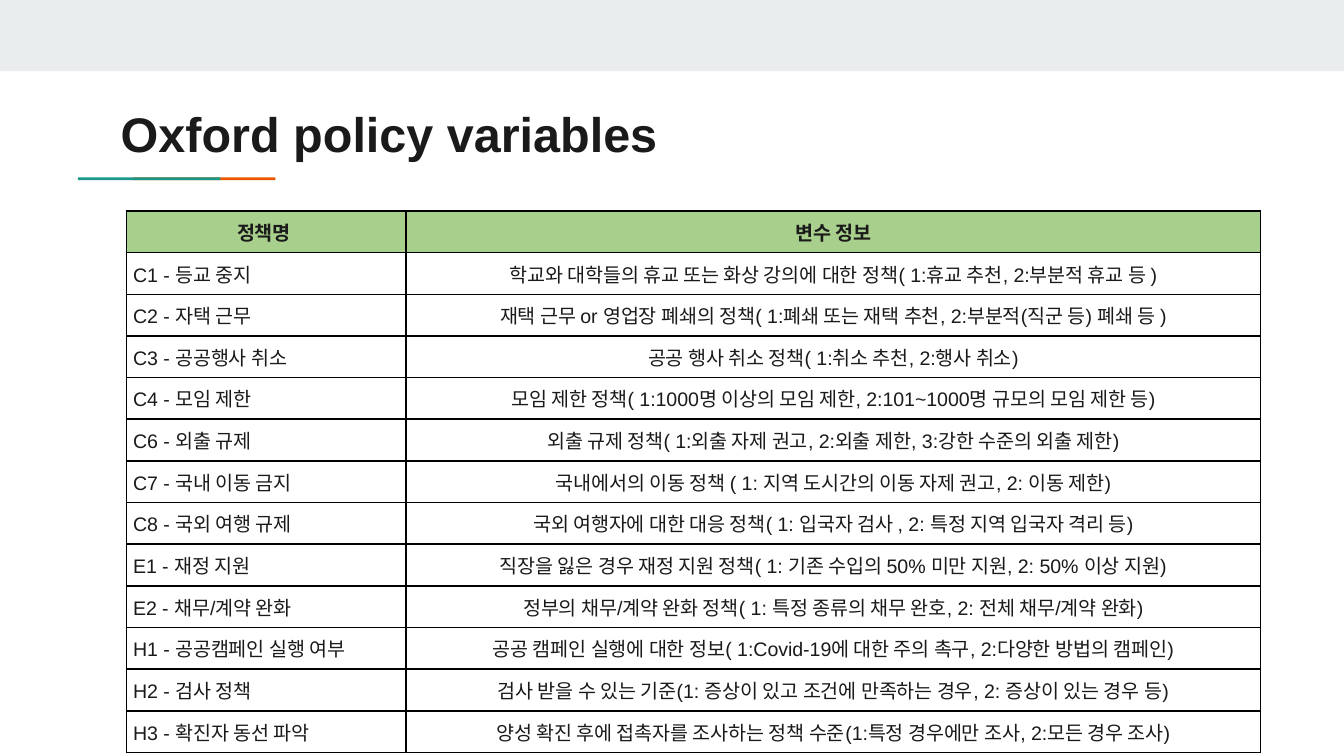
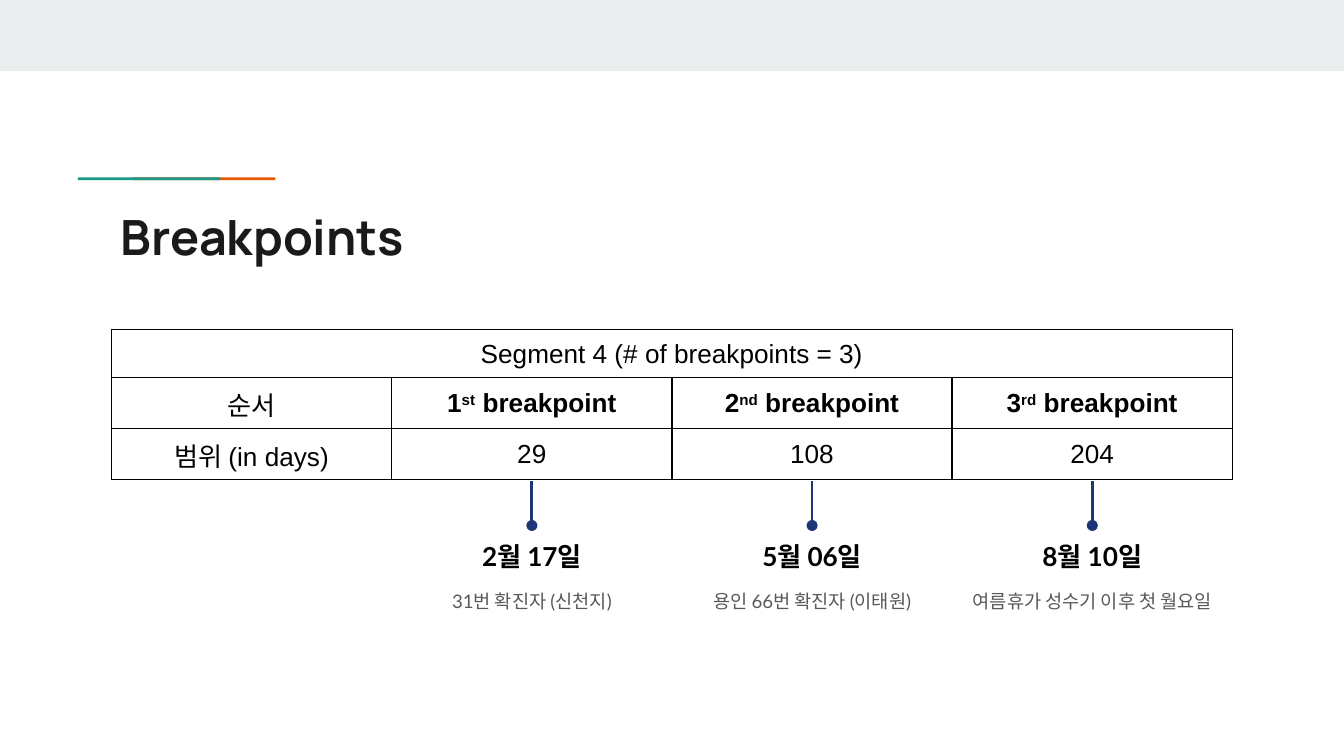
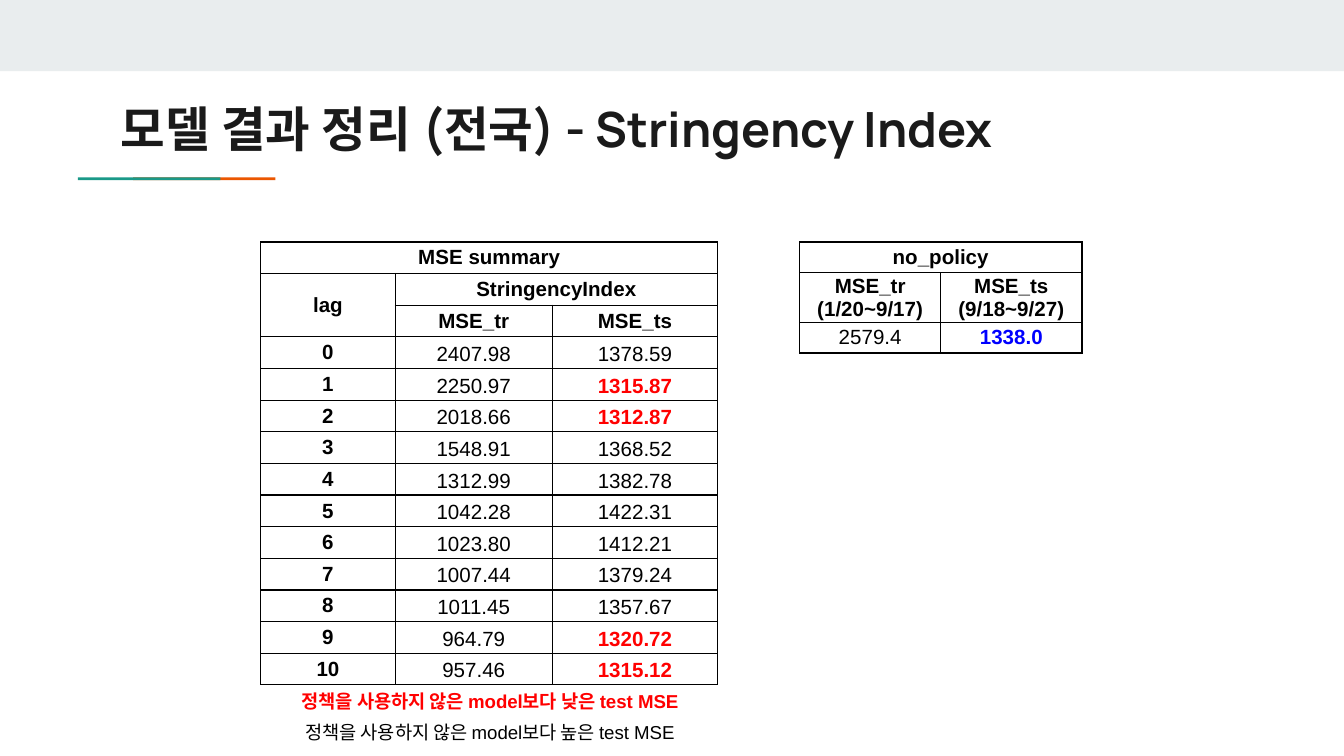
"""Build three slides on policy variables, breakpoints and model results."""
from dataclasses import dataclass

from lxml import etree
from pptx import Presentation, util as u
from pptx.dml.color import RGBColor
from pptx.enum import shapes, text
from pptx.oxml.ns import qn

MID = text.PP_ALIGN.CENTER
LEFT = text.PP_ALIGN.LEFT


@dataclass(frozen=True)
class Theme:
    """Colours, fonts and type sizes of the deck."""
    band: str = "E9EDEE"
    teal: str = "1A9988"
    orange: str = "EB5600"
    ink: str = "1A1A1A"
    black: str = "000000"
    gray: str = "595959"
    white: str = "FFFFFF"
    green: str = "A8D08C"
    red: str = "FF0000"
    blue: str = "0000FF"
    navy: str = "1C3678"
    sans: str = "Arial"
    head: str = "Manrope"
    body: str = "Lato"
    title: float = 26
    large: float = 14
    score: float = 11
    policy: float = 10.5
    small: float = 10


T = Theme()

POLICIES = [
    ("C1 - 등교 중지", "학교와 대학들의 휴교 또는 화상 강의에 대한 정책( 1:휴교 추천, 2:부분적 휴교 등 )"),
    ("C2 - 자택 근무", "재택 근무 or 영업장 폐쇄의 정책( 1:폐쇄 또는 재택 추천, 2:부분적(직군 등) 폐쇄 등 )"),
    ("C3 - 공공행사 취소", "공공 행사 취소 정책( 1:취소 추천, 2:행사 취소)"),
    ("C4 - 모임 제한", "모임 제한 정책( 1:1000명 이상의 모임 제한, 2:101~1000명 규모의 모임 제한 등)"),
    ("C6 - 외출 규제", "외출 규제 정책( 1:외출 자제 권고, 2:외출 제한, 3:강한 수준의 외출 제한)"),
    ("C7 - 국내 이동 금지", "국내에서의 이동 정책 ( 1: 지역 도시간의 이동 자제 권고, 2: 이동 제한)"),
    ("C8 - 국외 여행 규제", "국외 여행자에 대한 대응 정책( 1: 입국자 검사 , 2: 특정 지역 입국자 격리 등)"),
    ("E1 - 재정 지원", "직장을 잃은 경우 재정 지원 정책( 1: 기존 수입의 50% 미만 지원, 2: 50% 이상 지원)"),
    ("E2 - 채무/계약 완화", "정부의 채무/계약 완화 정책( 1: 특정 종류의 채무 완호, 2: 전체 채무/계약 완화)"),
    ("H1 - 공공캠페인 실행 여부",
     "공공 캠페인 실행에 대한 정보( 1:Covid-19에 대한 주의 촉구, 2:다양한 방법의 캠페인)"),
    ("H2 - 검사 정책", "검사 받을 수 있는 기준(1: 증상이 있고 조건에 만족하는 경우, 2: 증상이 있는 경우 등)"),
    ("H3 - 확진자 동선 파악", "양성 확진 후에 접촉자를 조사하는 정책 수준(1:특정 경우에만 조사, 2:모든 경우 조사)"),
]
BREAKS = [
    ("1", "st", "29", "2월 17일", "31번 확진자 (신천지)", 2.09),
    ("2", "nd", "108", "5월 06일", "용인 66번 확진자 (이태원)", 2.22),
    ("3", "rd", "204", "8월 10일", "여름휴가 성수기 이후 첫 월요일", 3.07),
]
SCORES = [
    ("2407.98", "1378.59"), ("2250.97", "1315.87"), ("2018.66", "1312.87"),
    ("1548.91", "1368.52"), ("1312.99", "1382.78"), ("1042.28", "1422.31"),
    ("1023.80", "1412.21"), ("1007.44", "1379.24"), ("1011.45", "1357.67"),
    ("964.79", "1320.72"), ("957.46", "1315.12"),
]
NO_POLICY = ("2579.4", "1338.0")


def assign(obj, vals):
    """Set each attribute of obj named in vals."""
    for key, val in vals.items():
        setattr(obj, key, val)


def para(*words, size, face=T.sans, hue=T.black, bold=False, **form):
    """Describe a paragraph; every second word is superscript."""
    font = {"size": u.Pt(size), "name": face, "bold": bold}
    return words, font, hue, {"alignment": MID, **form}


def write(frame, paras):
    """Fill a text frame with described paragraphs."""
    for i, (words, font, hue, form) in enumerate(paras):
        line = frame.add_paragraph() if i else frame.paragraphs[0]
        assign(line, form)
        for j, word in enumerate(words):
            for k, part in enumerate(word.split("\n")):
                if k:
                    line.add_line_break()
                run = line.add_run()
                run.text = part
                assign(run.font, font)
                run.font.color.rgb = RGBColor.from_string(hue)
                if j % 2:
                    run._r.get_or_add_rPr().set("baseline", "30000")


def block(slide, left, top, wide, high, hue):
    """Draw a plain filled rectangle."""
    rect = slide.shapes.add_shape(shapes.MSO_SHAPE.RECTANGLE,
                                  *map(u.Inches, (left, top, wide, high)))
    rect.shadow.inherit = False
    rect.fill.solid()
    rect.fill.fore_color.rgb = RGBColor.from_string(hue)
    rect.line.fill.background()


def label(slide, left, top, wide, high, paras, anchor=text.MSO_ANCHOR.TOP):
    """Add a wrapped text box and return it."""
    box = slide.shapes.add_textbox(*map(u.Inches, (left, top, wide, high)))
    inset = u.Inches(0.1)
    assign(box.text_frame, {
        "word_wrap": True, "vertical_anchor": anchor, "margin_left": inset,
        "margin_right": inset, "margin_top": inset, "margin_bottom": inset})
    write(box.text_frame, paras)
    return box


def page(deck, title, top, face=T.head):
    """Add a slide with the band, accent rule and title."""
    slide = deck.slides.add_slide(deck.slide_layouts[6])
    block(slide, 0, 0, 10, 0.53, T.band)
    block(slide, 0.99, 1.32, 1.06, 0.02, T.orange)
    block(slide, 0.58, 1.32, 1.06, 0.02, T.teal)
    label(slide, 0.8, top, 8.41, 0.59,
          [para(title, size=T.title, face=face, hue=T.ink, bold=True, alignment=LEFT)])
    return slide


def border(cell, width):
    """Rule all four sides of a cell in black."""
    props = cell._tc.get_or_add_tcPr()
    for side in ("lnL", "lnR", "lnT", "lnB"):
        line = etree.SubElement(props, qn("a:" + side), w=str(int(u.Pt(width))))
        fill = etree.SubElement(line, qn("a:solidFill"))
        etree.SubElement(fill, qn("a:srgbClr"), val=T.black)


def grid(slide, left, top, cols, highs, cells, rule=0.75, inset=(0, 0, 0, 0),
         spans=(), fills=None):
    """Add a table; a cell is a list of paragraphs, or None if merged."""
    table = slide.shapes.add_table(
        len(highs), len(cols),
        *map(u.Inches, (left, top, sum(cols), sum(highs)))).table
    assign(table, {"first_row": False, "horz_banding": False})
    for col, wide in zip(table.columns, cols):
        col.width = u.Inches(wide)
    names = ("margin_left", "margin_top", "margin_right", "margin_bottom")
    form = {"vertical_anchor": text.MSO_ANCHOR.MIDDLE,
            **dict(zip(names, map(u.Inches, inset)))}
    for r, (high, row) in enumerate(zip(highs, cells)):
        table.rows[r].height = u.Inches(high)
        for c, paras in enumerate(row):
            cell = table.cell(r, c)
            assign(cell, form)
            if rule:
                border(cell, rule)
            if fills:
                cell.fill.solid()
                cell.fill.fore_color.rgb = RGBColor.from_string(fills[r])
            else:
                cell.fill.background()
            if paras:
                write(cell.text_frame, paras)
    for start, end in spans:
        table.cell(*start).merge(table.cell(*end))


def pin(slide, x, top, box):
    """Drop a dotted line from a height to the top of a box."""
    line = slide.shapes.add_connector(
        shapes.MSO_CONNECTOR.STRAIGHT, u.Inches(x), u.Inches(top), u.Inches(x), box.top)
    line.end_connect(box, 0)
    line.line.width = u.Pt(1.5)
    line.line.color.rgb = RGBColor.from_string(T.navy)
    etree.SubElement(line.line._get_or_add_ln(), qn("a:tailEnd"), type="oval")
    etree.SubElement(line._element.spPr, qn("a:effectLst"))


def policy(deck):
    """Build the slide of policy variables."""
    slide = page(deck, "Oxford policy variables", 0.67, T.sans)
    font = {"size": T.policy, "hue": T.ink}
    cells = [[[para(word, bold=True, **font)] for word in ("정책명 ", "변수 정보")]]
    cells += [[[para(name, alignment=LEFT, **font)], [para(note, **font)]]
              for name, note in POLICIES]
    grid(slide, 0.94, 1.57, (2.08, 6.36), [0.31] * len(cells), cells, rule=1,
         inset=[0.05] * 4, fills=[T.green] + [T.white] * len(POLICIES))


def breaks(deck):
    """Build the slide of breakpoints."""
    slide = page(deck, "Breakpoints", 1.44)
    left, wide = 0.83, 8.34 / 4
    font = {"size": T.large}
    cells = [
        [[para("Segment 4 (# of breakpoints = 3)", **font)], None, None, None],
        [[para("순서", **font)]] + [
            [para(num, end, " breakpoint", bold=True, **font)] for num, end, *_ in BREAKS],
        [[para("범위 (in days)", **font)]] + [[para(item[2], **font)] for item in BREAKS],
    ]
    grid(slide, left, 2.45, [wide] * 4, (0.36, 0.38, 0.38), cells,
         inset=(0.01, 0.01, 0.01, 0), spans=[((0, 0), (0, 3))])
    gap = u.Pt(10)
    for i, (*_, date, note, span) in enumerate(BREAKS):
        x = left + wide * (i + 1.5)
        box = label(slide, x - span / 2, 3.91, span, 0.76, [
            para(date, size=T.large, face=T.body, bold=True, space_before=gap),
            para(note, size=T.small, face=T.body, hue=T.gray,
                 space_before=gap, space_after=gap),
        ], text.MSO_ANCHOR.MIDDLE)
        pin(slide, x, 3.58, box)


def score(*lines, hue=T.black, bold=False, **form):
    """Make a cell of a score table, one paragraph a line."""
    return [para(line, size=T.score, hue=hue, bold=bold, **form) for line in lines]


def results(deck):
    """Build the slide of model results."""
    slide = page(deck, "모델 결과 정리 (전국) - Stringency Index", 0.64)
    left, top = 1.94, 1.8
    notes = [("정책을 사용하지 않은 model보다 낮은 test MSE", T.red, True),
             ("정책을 사용하지 않은 model보다 높은 test MSE", T.black, False)]
    grid(slide, left, 5.1, [3.41], [0.23] * 2,
         [[[para(word, size=T.small, hue=hue, bold=bold)]] for word, hue, bold in notes],
         rule=0)

    train, test = NO_POLICY
    grid(slide, 5.95, top, [1.05] * 2, [0.23] * 3, [
        [score("no_policy", bold=True), None],
        [score("MSE_tr\n(1/20~9/17)", bold=True),
         score("MSE_ts", "(9/18~9/27)", bold=True)],
        [score(train), score(test, hue=T.blue, bold=True)],
    ], spans=[((0, 0), (0, 1))])

    cells = [
        [score("MSE summary", bold=True), None, None],
        [score("lag", bold=True), score("StringencyIndex", bold=True), None],
        [None, score("MSE_tr", bold=True), score("MSE_ts", bold=True)],
    ]
    for lag, (fit, ahead) in enumerate(SCORES):
        lower = float(ahead) < float(test)
        cells.append([
            score(str(lag), bold=True), score(fit, line_spacing=1.15),
            score(ahead, hue=T.red if lower else T.black, bold=lower,
                  line_spacing=1.15)])
    rows = len(cells)
    grid(slide, left, top, (1, 1.17, 1.23), [3.3 / rows] * rows, cells,
         spans=[((0, 0), (0, 2)), ((1, 0), (2, 0)), ((1, 1), (1, 2))])


def main():
    """Build and save the deck."""
    deck = Presentation()
    assign(deck, {"slide_width": u.Inches(10), "slide_height": u.Inches(10 * 9 / 16)})
    for build in (policy, breaks, results):
        build(deck)
    deck.save("out.pptx")


if __name__ == "__main__":
    main()
